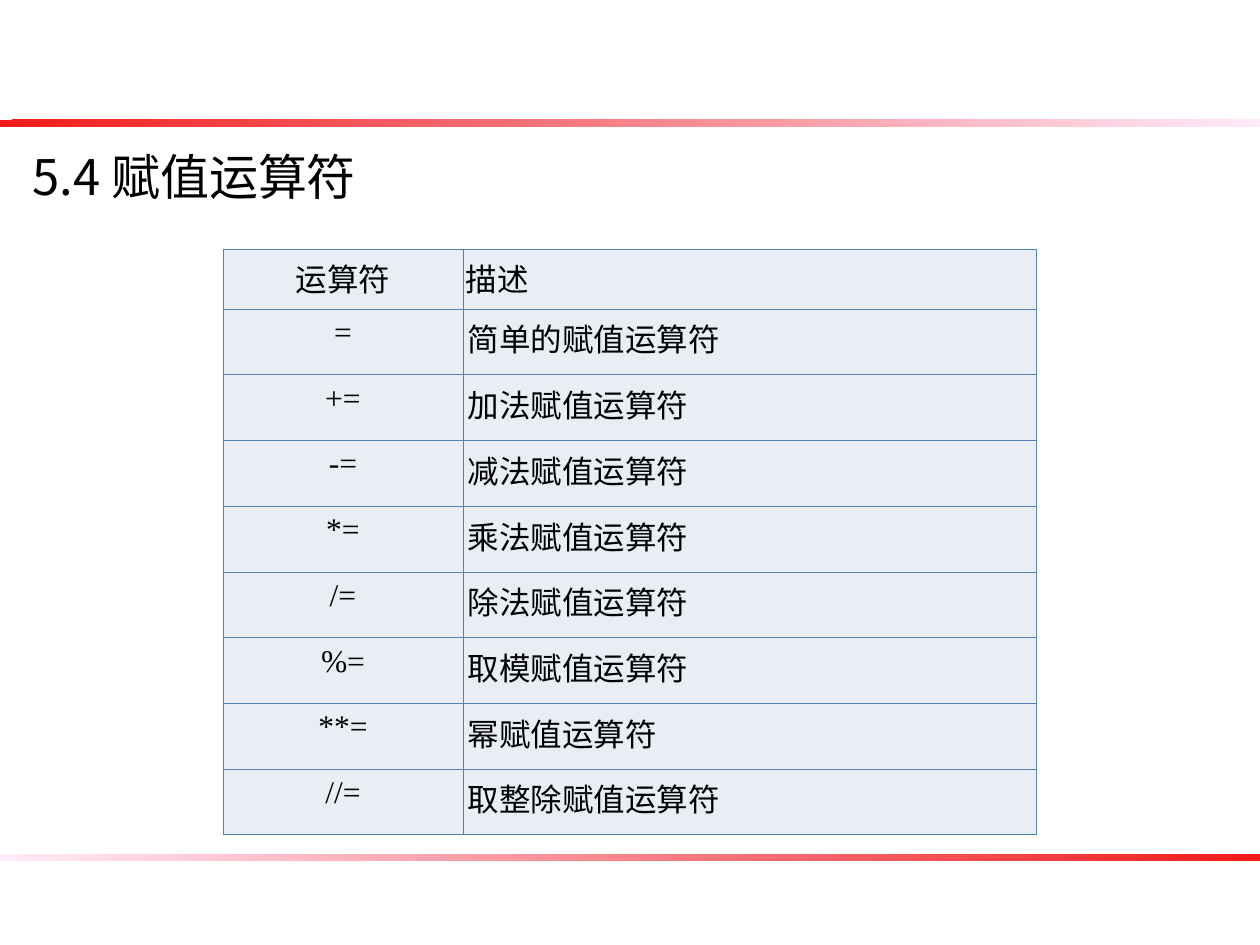
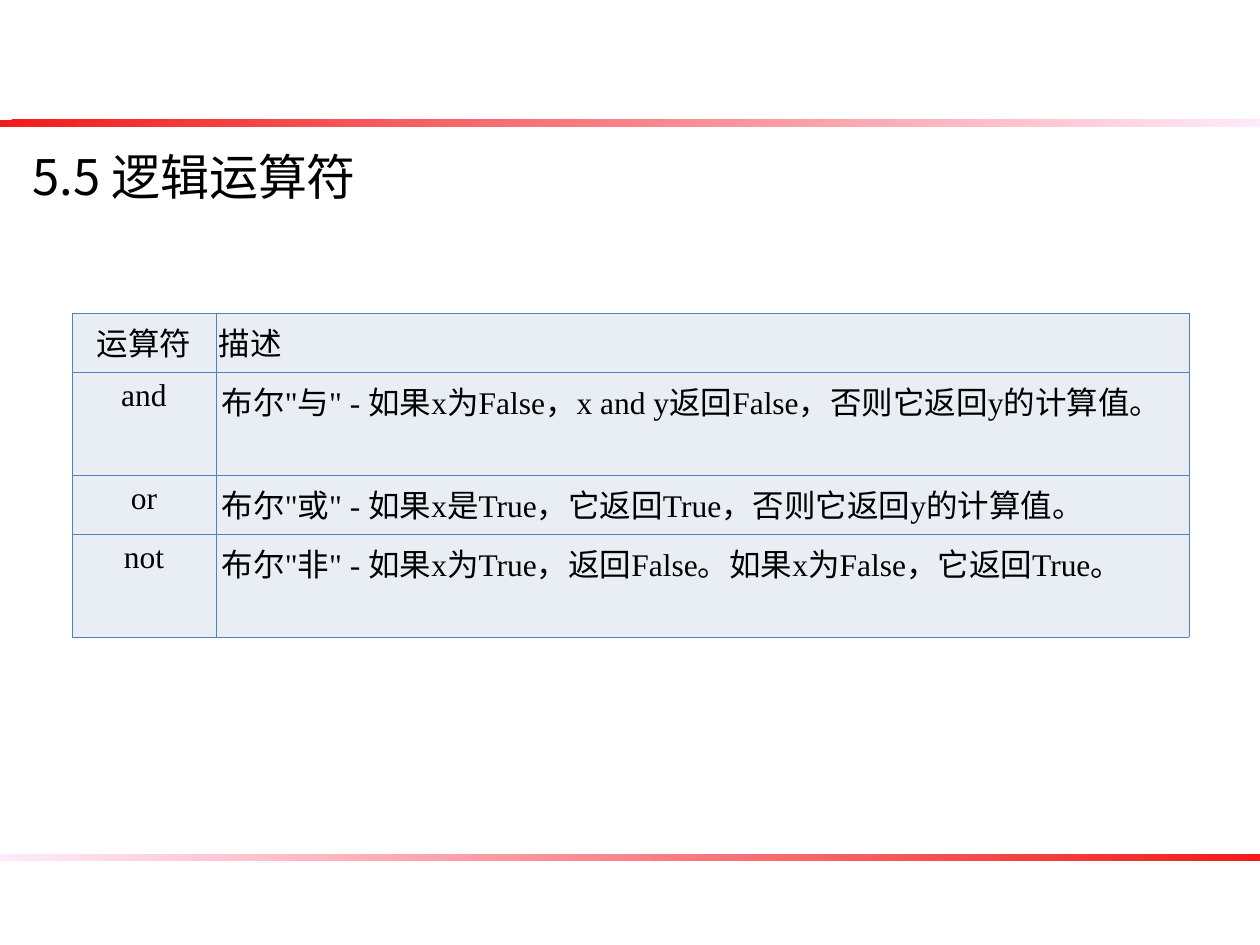
from lxml.etree import SubElement
from pptx import Presentation
from pptx.dml.color import RGBColor
from pptx.enum.shapes import MSO_SHAPE as Shape
from pptx.enum.text import MSO_ANCHOR as Anchor, PP_ALIGN as Align
from pptx.oxml.ns import qn
from pptx.util import Pt

SANS, SERIF = "Noto Sans CJK SC", "Times New Roman"
BLACK = RGBColor(0x00, 0x00, 0x00)
RED = RGBColor(0xF2, 0x1B, 0x1A)
PINK = RGBColor(0xFF, 0xEB, 0xFA)
CELL_FILL = RGBColor(0xE9, 0xED, 0xF4)
BORDER = RGBColor(0x4F, 0x81, 0xBD)

HEADER = ("运算符", "描述")
SLIDES = [
    {
        "title": "5.4 赋值运算符",
        "rows": [
            ("=", "简单的赋值运算符"),
            ("+=", "加法赋值运算符"),
            ("-=", "减法赋值运算符"),
            ("*=", "乘法赋值运算符"),
            ("/=", "除法赋值运算符"),
            ("%=", "取模赋值运算符"),
            ("**=", "幂赋值运算符"),
            ("//=", "取整除赋值运算符"),
        ],
        "corner": (223, 249),
        "columns": (240, 573),
        "heights": [60] + [65.75] * 8,
        "insets": (3, 5),
        "header_font": SERIF,
    },
    {
        "title": "5.5 逻辑运算符",
        "rows": [
            ("and", '布尔"与" - 如果x为False，x and y返回False，否则它返回y的计算值。'),
            ("or", '布尔"或" - 如果x是True，它返回True，否则它返回y的计算值。'),
            ("not", '布尔"非" - 如果x为True，返回False。如果x为False，它返回True。'),
        ],
        "corner": (72, 313),
        "columns": (144, 973),
        "heights": [59, 103, 59, 103],
        "insets": (3, 6),
        "header_font": SANS,
    },
]

PAGE_WIDTH, PAGE_HEIGHT = 1260, 945
BAR_HEIGHT = 7
BARS = [(120, 315), (854, 180)]  # top, gradient angle
TITLE_AREA = (20, 140, 1221, 79)


def px(length):
    return round(length * 914400 / 126)


def write_text(frame, text, size=18, font=SERIF, align=Align.LEFT, spacing=None):
    para = frame.paragraphs[0]
    para.alignment = align
    para.line_spacing = spacing
    span = para.add_run()
    span.text = text
    span.font.size = Pt(size)
    span.font.name = font
    span.font.color.rgb = BLACK
    SubElement(span._r.get_or_add_rPr(), qn("a:ea"), typeface=SANS)


def add_bar(page, top, angle):
    bar = page.shapes.add_shape(Shape.RECTANGLE, 0, px(top), px(PAGE_WIDTH), px(BAR_HEIGHT))
    bar.shadow.inherit = False
    bar.line.fill.background()
    bar.fill.gradient()
    bar.fill.gradient_angle = angle
    for stop, color, position in zip(bar.fill.gradient_stops, (RED, PINK), (0, 1)):
        stop.color.rgb = color
        stop.position = position


def add_title(page, text):
    box = page.shapes.add_textbox(*map(px, TITLE_AREA))
    box.text_frame.word_wrap = True
    box.text_frame.vertical_anchor = Anchor.MIDDLE
    write_text(box.text_frame, text, size=28, font=SANS, spacing=0.9)


def style_cell(cell, inset):
    cell.margin_left = cell.margin_right = px(inset)
    properties = cell._tc.get_or_add_tcPr()
    for side in ("lnL", "lnR", "lnT", "lnB"):
        line = SubElement(properties, qn(f"a:{side}"), w=str(Pt(0.45)))
        SubElement(SubElement(line, qn("a:solidFill")), qn("a:srgbClr"), val=str(BORDER))
    cell.fill.solid()
    cell.fill.fore_color.rgb = CELL_FILL


def add_operator_table(page, content):
    rows = [HEADER] + content["rows"]
    columns, heights = content["columns"], content["heights"]
    area = (*content["corner"], sum(columns), sum(heights))
    table = page.shapes.add_table(len(rows), len(columns), *map(px, area)).table
    table.first_row = table.horz_banding = False
    for column, width in zip(table.columns, columns):
        column.width = px(width)
    for index, (row, height, texts) in enumerate(zip(table.rows, heights, rows)):
        row.height = px(height)
        inset = content["insets"][min(index, 1)]
        font = SERIF if index else content["header_font"]
        for cell, text, align in zip(row.cells, texts, (Align.CENTER, Align.LEFT)):
            style_cell(cell, inset)
            write_text(cell.text_frame, text, font=font, align=align)


def main():
    deck = Presentation()
    deck.slide_width, deck.slide_height = px(PAGE_WIDTH), px(PAGE_HEIGHT)
    for content in SLIDES:
        page = deck.slides.add_slide(deck.slide_layouts[6])
        for top, angle in BARS:
            add_bar(page, top, angle)
        add_title(page, content["title"])
        add_operator_table(page, content)
    deck.save("out.pptx")


if __name__ == "__main__":
    main()
